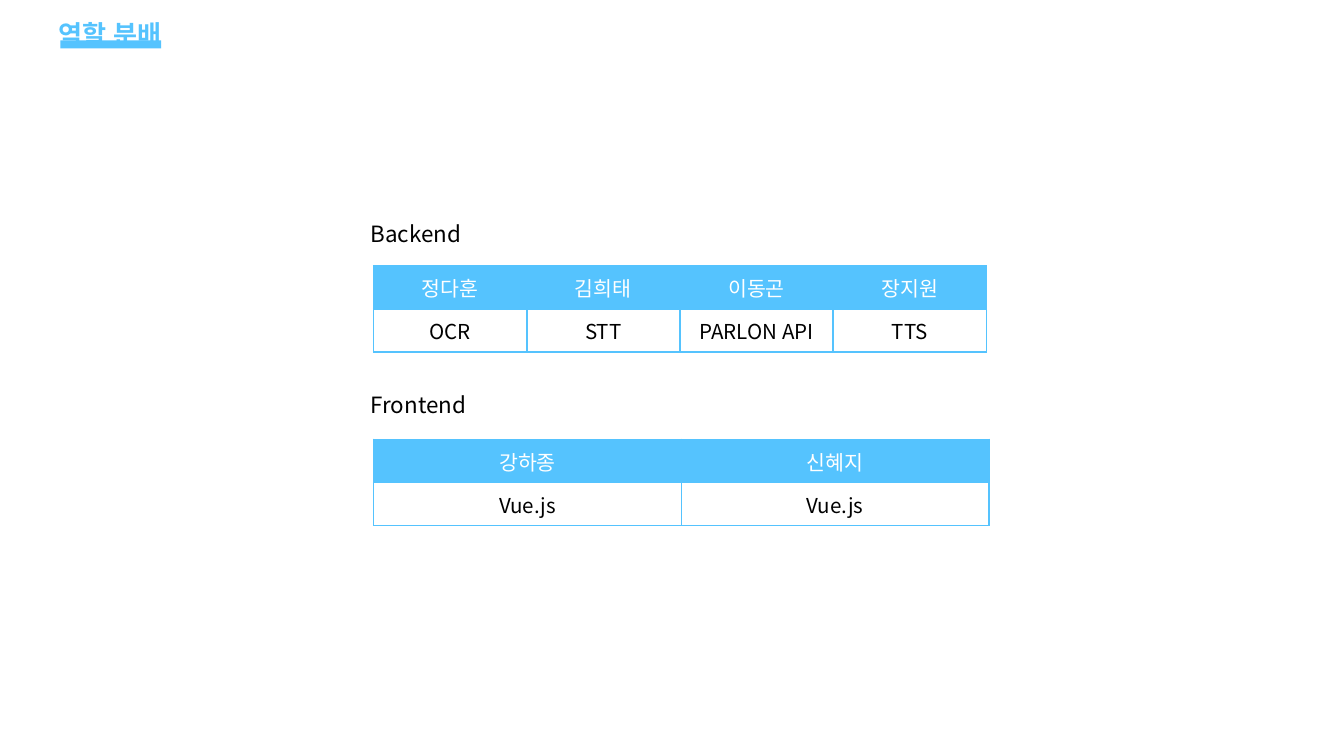
import pptx
import pptx.dml.color
import pptx.enum.shapes
import pptx.enum.text
import pptx.oxml.ns
import pptx.util
from lxml import etree

Inches = pptx.util.Inches
Pt = pptx.util.Pt

COLORS = {"sky": "55C3FE", "white": "FFFFFF", "black": "000000"}
FONT = "Noto Sans CJK KR"
SLIDE_WIDTH = 10
SLIDE_HEIGHT = SLIDE_WIDTH * 9 / 16
TITLE = "역할 분배"
TEAMS = [
    {
        "name": "Backend", "label": (2.66, 1.59, 0.9, 0.3),
        "table": (2.78, 1.98, 4.56),
        "rows": [("정다훈", "김희태", "이동곤", "장지원"),
                 ("OCR", "STT", "PARLON API", "TTS")],
    },
    {
        "name": "Frontend", "label": (2.66, 2.86, 0.96, 0.3),
        "table": (2.78, 3.27, 4.58),
        "rows": [("강하종", "신혜지"), ("Vue.js", "Vue.js")],
    },
]
ROW_HEIGHT = 0.32
TITLE_FORMAT = {"size": Pt(14), "bold": True}
LABEL_FORMAT = {"size": Pt(12)}
CELL_FORMAT = {"size": Pt(11), "bold": False}


def rgb(color):
    return pptx.dml.color.RGBColor.from_string(COLORS[color])


def write(paragraph, text, color, font_format):
    run = paragraph.add_run()
    run.text = text
    for name, value in {"name": FONT, **font_format}.items():
        setattr(run.font, name, value)
    run.font.color.rgb = rgb(color)
    # Hangul takes its typeface from the East Asian font.
    east_asian = etree.SubElement(run.font._element, pptx.oxml.ns.qn("a:ea"))
    east_asian.set("typeface", FONT)


def add_text(slide, box, text, color, font_format, wrap):
    shape = slide.shapes.add_textbox(*map(Inches, box))
    frame = shape.text_frame
    frame.word_wrap = wrap
    frame.vertical_anchor = pptx.enum.text.MSO_ANCHOR.TOP
    write(frame.paragraphs[0], text, color, font_format)
    return frame


def set_borders(cell, color):
    """Draw a solid 1 pt line on every side of a cell."""
    properties = cell._tc.get_or_add_tcPr()
    for index, side in enumerate(("lnL", "lnR", "lnT", "lnB")):
        line = etree.Element(pptx.oxml.ns.qn(f"a:{side}"), w=str(Pt(1)))
        fill = etree.SubElement(line, pptx.oxml.ns.qn("a:solidFill"))
        etree.SubElement(fill, pptx.oxml.ns.qn("a:srgbClr"), val=COLORS[color])
        etree.SubElement(line, pptx.oxml.ns.qn("a:prstDash"), val="solid")
        properties.insert(index, line)


def add_team_table(slide, position, rows):
    left, top, width = position
    column_count = len(rows[0])
    table = slide.shapes.add_table(
        len(rows), column_count, Inches(left), Inches(top),
        Inches(width), Inches(ROW_HEIGHT * len(rows))).table
    for column in table.columns:
        column.width = Inches(width / column_count)
    for row_index, row in enumerate(rows):
        is_header = row_index == 0
        for column_index, text in enumerate(row):
            cell = table.cell(row_index, column_index)
            if is_header:
                cell.fill.solid()
                cell.fill.fore_color.rgb = rgb("sky")
            else:
                cell.fill.background()
            set_borders(cell, "sky")
            paragraph = cell.text_frame.paragraphs[0]
            paragraph.alignment = pptx.enum.text.PP_ALIGN.CENTER
            write(paragraph, text, "white" if is_header else "black", CELL_FORMAT)


def main():
    presentation = pptx.Presentation()
    presentation.slide_width = Inches(SLIDE_WIDTH)
    presentation.slide_height = Inches(SLIDE_HEIGHT)
    slide = presentation.slides.add_slide(presentation.slide_layouts[6])

    title = add_text(slide, (0.34, 0, 9.32, 0.97), TITLE, "sky", TITLE_FORMAT, True)
    for side in ("left", "right", "top", "bottom"):
        setattr(title, f"margin_{side}", Inches(0.1))
    title.paragraphs[0].line_spacing = 1.15

    for team in TEAMS:
        add_team_table(slide, team["table"], team["rows"])
        add_text(slide, team["label"], team["name"], "black", LABEL_FORMAT, False)

    underline = slide.shapes.add_shape(
        pptx.enum.shapes.MSO_SHAPE.RECTANGLE,
        *map(Inches, (0.45, 0.3, 0.75, 0.06)))
    underline.shadow.inherit = False
    underline.fill.solid()
    underline.fill.fore_color.rgb = rgb("sky")
    underline.line.fill.background()

    presentation.save("out.pptx")


if __name__ == "__main__":
    main()
